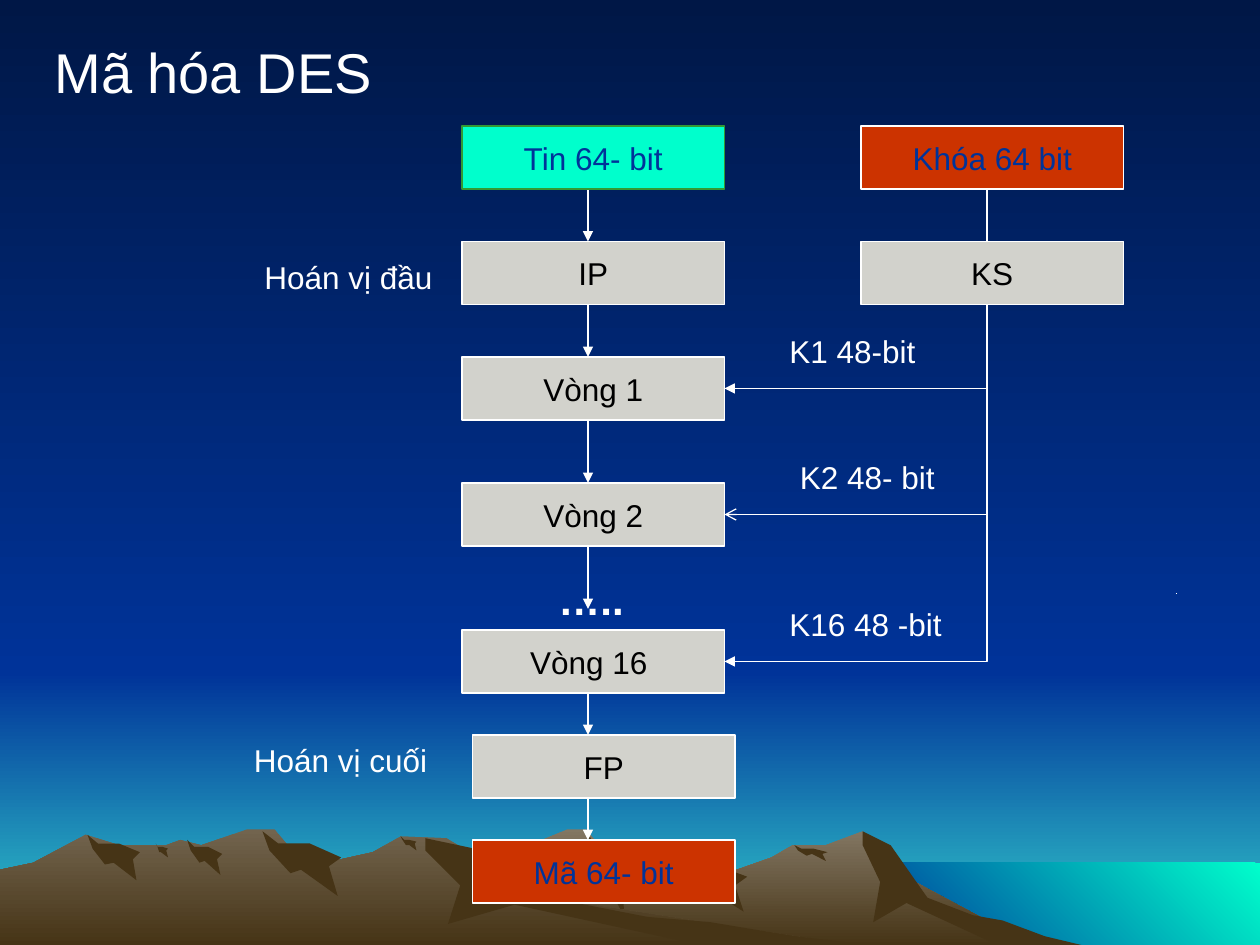
from dataclasses import dataclass

from lxml.etree import SubElement
from pptx import Presentation
from pptx.dml.color import RGBColor
from pptx.enum.shapes import MSO_CONNECTOR, MSO_SHAPE
from pptx.enum.text import MSO_ANCHOR, PP_ALIGN
from pptx.oxml.ns import qn
from pptx.util import Pt


@dataclass(frozen=True)
class Theme:
    font: str = "Arial"
    title_size: int = 32
    dots_size: int = 24
    body_size: int = 18
    line_width: float = 0.75
    white: str = "FFFFFF"
    black: str = "000000"
    navy: str = "003399"
    night: str = "001746"
    horizon: str = "33CCCC"
    aqua: str = "00FFCC"
    green: str = "339933"
    red: str = "CC3300"
    grey: str = "D2D2CC"
    rock: str = "463416"
    right_ridge: str = "837763"
    left_ridge: str = "72644E"


@dataclass(frozen=True)
class Box:
    left: float
    top: float
    width: float
    height: float

    def inner(self, left, top, width, height):
        return Box(self.left + left, self.top + top, width, height)

    def lengths(self):
        return Pt(self.left), Pt(self.top), Pt(self.width), Pt(self.height)


THEME = Theme()
DOWN, DOWN_LEFT = 270, 225

# Diagram grid: every node has one size, and rows are measured from the first node.
NODE_WIDTH, NODE_HEIGHT = 150, 36
PERMUTATION_ROW = 66
ROUND_ROWS = {"Vòng 1": 132, "Vòng 2": 204, "Vòng 16 ": 288}
FINAL_ROWS = {"FP": 348, "Mã 64- bit": 408}
DOTS_ROW = 276

# Skylines: distance from the left edge and height above the bottom of the landscape.
LEFT_SKYLINE = [(0, 43), (19, 47), (49, 63), (68, 57), (95, 57), (103, 60), (115, 57), (141, 66),
                (157, 66), (170, 50), (195, 49), (213, 53), (229, 62), (255, 61), (311, 27), (480, 1)]
RIGHT_SKYLINE = [(186, 0), (236, 31), (284, 49), (324, 66), (335, 66), (342, 57), (366, 57), (381, 45),
                 (407, 38), (441, 50), (453, 57), (472, 57), (493, 65), (521, 37), (590, 0)]

# Shaded rock faces hang from a summit: left, height of the top, width, drop.
LEFT_GULLIES = [(50, 63, 30, 26), (89, 58, 7, 8), (107, 60, 20, 20), (150, 65, 45, 37), (229, 62, 9, 8)]
RIGHT_GULLIES = [(335, 66, 23, 50), (379, 53, 48, 34), (454, 57, 19, 9)]
LEFT_CLIFF = (243, 61, 254, 61)
RIGHT_CLIFF = (493, 65, 125, 65)

# Outline of each kind of face, in shares of its width and drop.
GULLY = [(0, 0), (0.2, 0.2), (0.6, 0.2), (1, 0.4), (0.85, 0.55), (0.95, 1),
         (0.5, 0.6), (0.35, 0.65), (0.1, 0.3)]
CLIFF = [(0, 0), (0.13, 0.12), (0.3, 0.58), (0.5, 0.74), (0.64, 0.78), (0.83, 0.92), (1, 1),
         (0.62, 1), (0.2, 0.63), (0.05, 0.8), (0.08, 0.45), (0, 0.12)]


def color(value):
    return RGBColor.from_string(value)


def paint(fill, *colors, angle=DOWN):
    """Fill with one colour, or with a gradient between two."""
    if len(colors) == 1:
        fill.solid()
        fill.fore_color.rgb = color(colors[0])
        return
    fill.gradient()
    fill.gradient_angle = angle
    for stop, value in zip(fill.gradient_stops, colors):
        stop.color.rgb = color(value)


def add_rectangle(page, box, *colors, angle=DOWN):
    shape = page.shapes.add_shape(MSO_SHAPE.RECTANGLE, *box.lengths())
    shape.shadow.inherit = False
    paint(shape.fill, *colors, angle=angle)
    shape.line.fill.background()
    return shape


def add_outline(page, box, points, *colors):
    """Draw a closed outline whose points are measured from the corner of the box."""
    builder = page.shapes.build_freeform(*points[0], scale=Pt(1))
    builder.add_line_segments(points[1:], close=True)
    shape = builder.convert_to_shape(Pt(box.left), Pt(box.top))
    shape.shadow.inherit = False
    paint(shape.fill, *colors)
    shape.line.fill.background()


def add_mountains(page, box, skyline, top_color, gullies, cliff):
    profile = [(x, box.height - height) for x, height in skyline]
    base = [(skyline[-1][0], box.height), (skyline[0][0], box.height)]
    add_outline(page, box, profile + base, top_color, THEME.rock)
    faces = [(GULLY, gully) for gully in gullies] + [(CLIFF, cliff)]
    for outline, (left, height, width, drop) in faces:
        face = [(left + x * width, box.height - height + y * drop) for x, y in outline]
        add_outline(page, box, face, THEME.rock)


def draw_landscape(page, box):
    horizon, shore_left, shore_top = 384, 492, 493
    add_rectangle(page, box.inner(0, horizon, box.width, box.height - horizon),
                  THEME.navy, THEME.horizon)
    add_rectangle(page, box.inner(0, 0, box.width, horizon), THEME.night, THEME.navy)
    add_rectangle(page, box.inner(shore_left, shore_top, box.width - shore_left, box.height - shore_top),
                  THEME.aqua, THEME.navy, angle=DOWN_LEFT)
    add_mountains(page, box, RIGHT_SKYLINE, THEME.right_ridge, RIGHT_GULLIES, RIGHT_CLIFF)
    add_mountains(page, box, LEFT_SKYLINE, THEME.left_ridge, LEFT_GULLIES, LEFT_CLIFF)


def write(shape, text, size, text_color, bold=False):
    para = shape.text_frame.paragraphs[0]
    para.text = text
    font = para.runs[0].font
    font.name, font.size, font.bold = THEME.font, Pt(size), bold
    font.color.rgb = color(text_color)
    return para


def add_label(page, box, text, size=THEME.body_size, bold=False):
    label = page.shapes.add_textbox(*box.lengths())
    label.text_frame.word_wrap = True
    write(label, text, size, THEME.white, bold)


def add_node(page, box, text, fill=THEME.grey, line=THEME.white, text_color=THEME.black):
    node = add_rectangle(page, box, fill)
    node.line.color.rgb = color(line)
    node.line.width = Pt(THEME.line_width)
    node.text_frame.word_wrap = False
    node.text_frame.vertical_anchor = MSO_ANCHOR.MIDDLE
    write(node, text, THEME.body_size, text_color).alignment = PP_ALIGN.CENTER


def add_line(page, box, start, end, head=None, tail=None, elbow=False):
    """Join two points of the box; an elbow runs across first, then up or down."""
    kind = MSO_CONNECTOR.ELBOW if elbow else MSO_CONNECTOR.STRAIGHT
    ends = [Pt(origin + offset) for point in (start, end)
            for origin, offset in zip((box.left, box.top), point)]
    connector = page.shapes.add_connector(kind, *ends)
    connector.line.color.rgb = color(THEME.white)
    connector.line.width = Pt(THEME.line_width)
    properties = connector.element.spPr
    if elbow:
        properties.find(qn("a:prstGeom")).set("prst", "bentConnector2")
    for tag, arrow in (("a:headEnd", head), ("a:tailEnd", tail)):
        if arrow:
            SubElement(properties.find(qn("a:ln")), qn(tag), type=arrow)
    SubElement(properties, qn("a:effectLst"))


def draw_key_schedule(page, box):
    """Key column on the right, with a subkey arrow to each round on the left edge."""
    axis, column = 150, box.width - NODE_WIDTH
    schedule_bottom = PERMUTATION_ROW + NODE_HEIGHT
    subkeys = [("K1 48-bit", 30, "triangle"), ("K2 48- bit", 36, "arrow"), ("K16 48 -bit", 30, "triangle")]
    add_line(page, box, (axis, NODE_HEIGHT), (axis, PERMUTATION_ROW))
    for (text, left, arrow), row in zip(subkeys, ROUND_ROWS.values()):
        is_last = text == subkeys[-1][0]
        level = row + NODE_HEIGHT / 2
        end = (axis, schedule_bottom if is_last else level)
        add_line(page, box, (0, level), end, head=arrow, elbow=is_last)
        add_label(page, box.inner(left, row - 18, 114, 29), text)
    add_node(page, box.inner(column, 0, NODE_WIDTH, NODE_HEIGHT), "Khóa 64 bit",
             THEME.red, text_color=THEME.navy)
    add_node(page, box.inner(column, PERMUTATION_ROW, NODE_WIDTH, NODE_HEIGHT), "KS")


def draw_rounds(page, box):
    """Column of steps from the message down to the cipher text."""
    axis, final_indent = 72, 6
    rows = {"Tin 64- bit": 0, "IP": PERMUTATION_ROW, **ROUND_ROWS, **FINAL_ROWS}
    special_colors = {"Tin 64- bit": (THEME.aqua, THEME.green, THEME.navy),
                      "Mã 64- bit": (THEME.red, THEME.white, THEME.navy)}
    add_label(page, box.inner(48, DOTS_ROW - 24, 60, 36), "…..", THEME.dots_size, bold=True)
    tops = list(rows.values())
    for top, next_top in zip(tops, tops[1:]):
        end = DOTS_ROW if top < DOTS_ROW < next_top else next_top
        add_line(page, box, (axis, top + NODE_HEIGHT), (axis, end), tail="triangle")
    for text, top in rows.items():
        left = final_indent if text in FINAL_ROWS else 0
        add_node(page, box.inner(left, top, NODE_WIDTH, NODE_HEIGHT), text, *special_colors.get(text, ()))
    add_label(page, box.inner(-120, PERMUTATION_ROW + 6, 150, 29), "Hoán vị đầu")
    add_label(page, box.inner(-126, FINAL_ROWS["FP"], 120, 29), "Hoán vị cuối")


def main():
    deck = Presentation()
    deck.slide_width, deck.slide_height = Pt(720), Pt(540)
    page = deck.slides.add_slide(deck.slide_layouts[6])
    paint(page.background.fill, THEME.night, THEME.navy)
    whole = Box(0, 0, 720, 540)
    draw_landscape(page, whole)
    add_line(page, whole, (672, 339), (672.5, 339))
    draw_key_schedule(page, whole.inner(414, 72, 228, 306))
    draw_rounds(page, whole.inner(264, 72, 156, 444))
    add_label(page, whole.inner(24, 18, 252, 46), "Mã hóa DES", THEME.title_size)
    deck.save("out.pptx")


if __name__ == "__main__":
    main()
